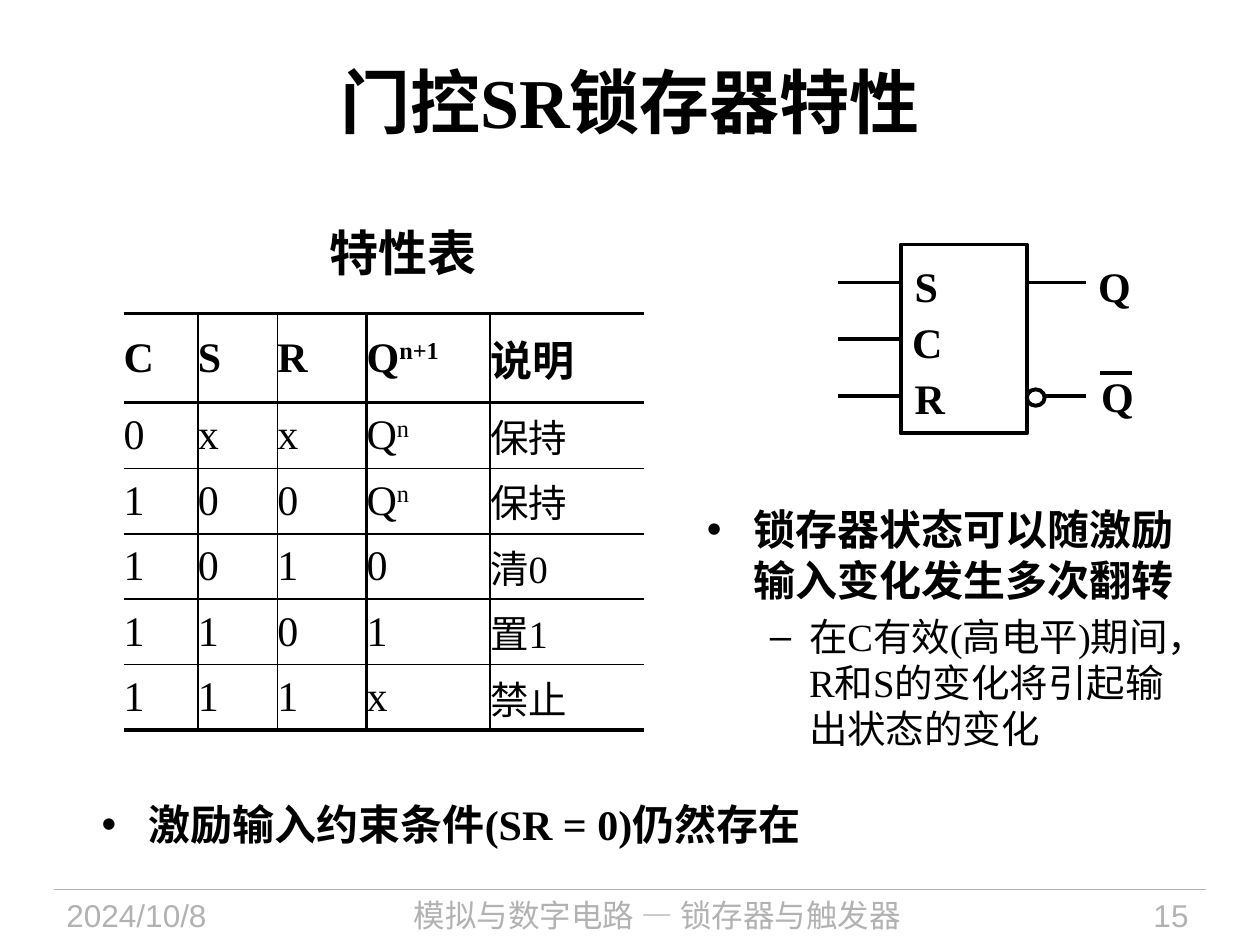
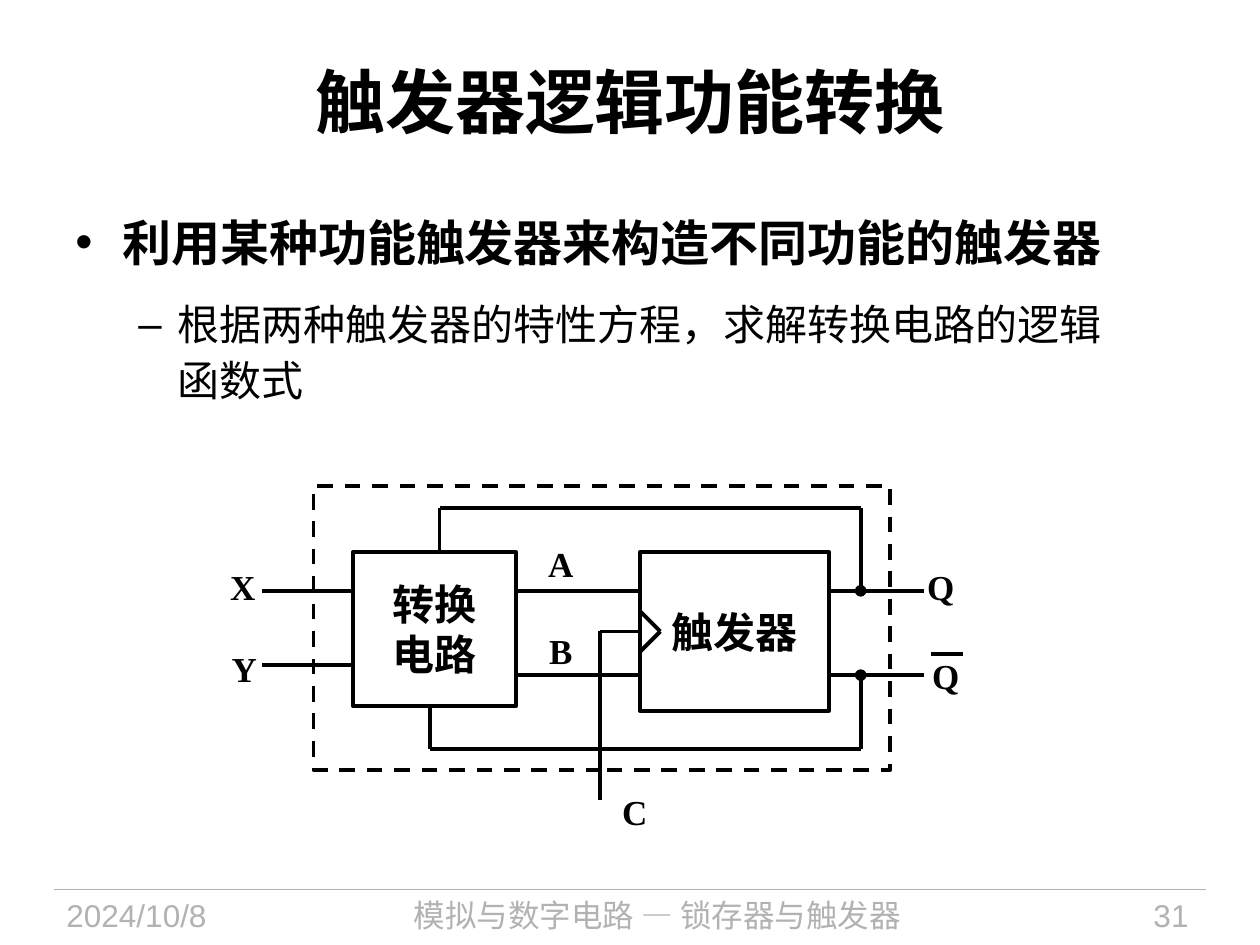
import pptx
import pptx.dml.color
import pptx.enum.dml
import pptx.enum.shapes
import pptx.enum.text
import pptx.oxml
import pptx.oxml.ns
import pptx.util

Cm = pptx.util.Cm
Pt = pptx.util.Pt
SHAPES = pptx.enum.shapes.MSO_SHAPE
ALIGN = pptx.enum.text.PP_ALIGN
ANCHOR = pptx.enum.text.MSO_ANCHOR
FIT = pptx.enum.text.MSO_AUTO_SIZE

BLACK = pptx.dml.color.RGBColor(0x00, 0x00, 0x00)
WHITE = pptx.dml.color.RGBColor(0xFF, 0xFF, 0xFF)
GREY = pptx.dml.color.RGBColor(0xB2, 0xB2, 0xB2)
SERIF, SANS, CHINESE = "Times New Roman", "Arial", "Noto Sans CJK SC"
WIRE = 2.25

# Content. All places are in centimetres.
DATE = "2024/10/8"
COURSE = "模拟与数字电路 — 锁存器与触发器"

LATCH_TITLE = "门控SR锁存器特性"
TABLE_TITLE = "特性表"
# A caret starts a superscript.
TRUTH_TABLE = [
    ("C", "S", "R", "Q^n+1", "说明"),
    ("0", "x", "x", "Q^n", "保持"),
    ("1", "0", "0", "Q^n", "保持"),
    ("1", "0", "1", "0", "清0"),
    ("1", "1", "0", "1", "置1"),
    ("1", "1", "1", "x", "禁止"),
]
COLUMN_WIDTHS = [1.5, 1.6, 1.8, 2.49, 3.1]
ROW_HEIGHTS = [1.8] + [1.32] * 5
LATCH_LABELS = [("S", 18.19, 5.13, 0.99), ("C", 18.14, 6.25, 1.14), ("R", 18.19, 7.39, 1.12),
                ("Q", 21.89, 5.13, 1.17), ("Q", 21.95, 7.34, 1.17)]
# Bullets: text, level, size.
CONSTRAINT = [("激励输入约束条件(SR = 0)仍然存在", 0, 24)]
LATCH_NOTES = [
    ("锁存器状态可以随激励输入变化发生多次翻转", 0, 24),
    ("在C有效(高电平)期间，R和S的变化将引起输出状态的变化", 1, 22),
]

CONVERSION_TITLE = "触发器逻辑功能转换"
CONVERSION_NOTES = [
    ("利用某种功能触发器来构造不同功能的触发器", 0, 28),
    ("根据两种触发器的特性方程，求解转换电路的逻辑函数式", 1, 24),
]
CONVERSION_LABELS = [("X", 4.39, 11.28), ("Y", 4.42, 12.93), ("A", 10.8, 10.82), ("B", 10.82, 12.57),
                     ("Q", 18.44, 11.28), ("Q", 18.54, 13.06), ("C", 12.29, 15.82)]

# Bullet sign, left margin and hanging indent by level.
BULLETS = [("•", 0.95, 0.95), ("–", 2.06, 0.79)]


def xml(tag, **attributes):
    element = pptx.oxml.parse_xml(f"<a:{tag} {pptx.oxml.ns.nsdecls('a')}/>")
    for name, value in attributes.items():
        element.set(name, str(value))
    return element


def write_text(paragraph, text, size=24, bold=False, color=BLACK, font=SERIF,
               align=ALIGN.LEFT, level=None, spacing=None, before=0, after=0):
    """Write one paragraph; level adds a bullet and a caret starts a superscript."""
    if level is not None:
        sign, margin, hanging = BULLETS[level]
        properties = paragraph._p.get_or_add_pPr()
        properties.set("marL", str(Cm(margin)))
        properties.set("indent", str(-Cm(hanging)))
        properties.append(xml("buFont", typeface=SANS))
        properties.append(xml("buChar", char=sign))
        paragraph.level = level
    paragraph.alignment = align
    paragraph.space_before, paragraph.space_after = Pt(before), Pt(after)
    if spacing:
        paragraph.line_spacing = spacing
    for index, part in enumerate(text.split("^")):
        run = paragraph.add_run()
        run.text = part
        run.font.size, run.font.bold, run.font.name = Pt(size), bold, font
        run.font.color.rgb = color
        properties = run._r.get_or_add_rPr()
        properties.append(xml("ea", typeface=CHINESE))
        if index:
            properties.set("baseline", "30000")


def add_box(slide, left, top, width, height, wrap=True, anchor=ANCHOR.TOP):
    """Add a text box and return its text frame."""
    box = slide.shapes.add_textbox(Cm(left), Cm(top), Cm(width), Cm(height))
    frame = box.text_frame
    frame.word_wrap, frame.vertical_anchor = wrap, anchor
    frame.auto_size = FIT.NONE if wrap else FIT.SHAPE_TO_FIT_TEXT
    return frame


def add_label(slide, text, left, top, width, height, **text_format):
    frame = add_box(slide, left, top, width, height, wrap=False)
    write_text(frame.paragraphs[0], text, bold=True, **text_format)


def add_bullets(slide, bullets, left, top, width, height, spacing=None, before=0):
    """Add bullets; before is a share of the text size."""
    frame = add_box(slide, left, top, width, height)
    for index, (text, level, size) in enumerate(bullets):
        paragraph = frame.add_paragraph() if index else frame.paragraphs[0]
        write_text(paragraph, text, size=size, bold=level == 0, level=level, spacing=spacing,
                   before=before * size if index else 0, after=0.2 * size)


def add_wire(slide, *points, color=BLACK, width=WIRE, dot=False):
    """Join the points by straight lines, with a dot on the first; return the first line."""
    wires = []
    for (x1, y1), (x2, y2) in zip(points, points[1:]):
        wire = slide.shapes.add_connector(pptx.enum.shapes.MSO_CONNECTOR.STRAIGHT,
                                          Cm(x1), Cm(y1), Cm(x2), Cm(y2))
        wire.line.color.rgb, wire.line.width = color, Pt(width)
        properties = wire._element.spPr
        if dot and not wires:
            properties.find(pptx.oxml.ns.qn("a:ln")).append(xml("headEnd", type="oval"))
        properties.append(xml("effectLst"))
        wires.append(wire)
    return wires[0]


def add_block(slide, left, top, width, height, lines=(), kind=SHAPES.RECTANGLE, fill=None, dash=None):
    block = slide.shapes.add_shape(kind, Cm(left), Cm(top), Cm(width), Cm(height))
    block.shadow.inherit = False
    if fill is None:
        block.fill.background()
    else:
        block.fill.solid()
        block.fill.fore_color.rgb = fill
    block.line.color.rgb, block.line.width = BLACK, Pt(WIRE)
    if dash:
        block.line.dash_style = dash
    frame = block.text_frame
    frame.word_wrap, frame.vertical_anchor = False, ANCHOR.MIDDLE
    for index, line in enumerate(lines):
        paragraph = frame.add_paragraph() if index else frame.paragraphs[0]
        write_text(paragraph, line, bold=True, font=SANS, align=ALIGN.CENTER)
    return block


def add_slide(presentation, title, number):
    """Add a slide with the shared title and footer."""
    slide = presentation.slides.add_slide(presentation.slide_layouts[6])
    add_wire(slide, (1.09, 17.93), (24.31, 17.93), color=GREY, width=0.75)
    for text, left, width, font, align in [
        (DATE, 1.09, 4.78, SANS, ALIGN.LEFT),
        (COURSE, 6.1, 14.3, CHINESE, ALIGN.CENTER),
        (str(number), 20.83, 3.38, SANS, ALIGN.RIGHT),
    ]:
        frame = add_box(slide, left, 17.93, width, 1.12)
        write_text(frame.paragraphs[0], text, size=18, color=GREY, font=font, align=align)
    frame = add_box(slide, 1.27, 0.43, 22.86, 3.18, anchor=ANCHOR.MIDDLE)
    write_text(frame.paragraphs[0], title, size=40, bold=True, align=ALIGN.CENTER)
    return slide


def set_borders(cell, **widths):
    """Set borders by side (L, R, T, B); a width of 0 hides the side."""
    for side, width in widths.items():
        border = xml(f"ln{side}", w=Pt(width))
        fill = xml("solidFill" if width else "noFill")
        if width:
            fill.append(xml("srgbClr", val=BLACK))
        border.append(fill)
        cell._tc.get_or_add_tcPr().append(border)


def add_truth_table(slide, left, top):
    row_count, column_count = len(TRUTH_TABLE), len(COLUMN_WIDTHS)
    table = slide.shapes.add_table(row_count, column_count, Cm(left), Cm(top),
                                   Cm(sum(COLUMN_WIDTHS)), Cm(sum(ROW_HEIGHTS))).table
    table.first_row = table.horz_banding = False
    for column, width in zip(table.columns, COLUMN_WIDTHS):
        column.width = Cm(width)
    for row, height in zip(table.rows, ROW_HEIGHTS):
        row.height = Cm(height)
    across = [2.25, 2] + [1] * (row_count - 2) + [2.25]
    down = [0, 1, 1, 2.25, 1, 0]
    for i, texts in enumerate(TRUTH_TABLE):
        for j, text in enumerate(texts):
            cell = table.cell(i, j)
            set_borders(cell, L=down[j], R=down[j + 1], T=across[i], B=across[i + 1])
            cell.fill.background()
            cell.vertical_anchor = ANCHOR.MIDDLE
            cell.margin_left = cell.margin_right = cell.margin_top = cell.margin_bottom = 0
            remark = i > 0 and j == column_count - 1
            write_text(cell.text_frame.paragraphs[0], text, size=22 if remark else 24, bold=i == 0)


def add_latch_symbol(slide):
    left, top, width, height = 18.16, 4.93, 2.54, 3.81
    right, middle, pitch = left + width, top + height / 2, 1.14
    upper, lower = middle - pitch, middle + pitch
    block = add_block(slide, left, top, width, height)
    for y in (upper, middle, lower):
        wire = add_wire(slide, (left, y), (16.89, y))
        if y == middle:
            wire.begin_connect(block, 1)
    add_wire(slide, (right, upper), (21.89, upper))
    add_wire(slide, (right + 0.23, lower), (21.89, lower))
    add_block(slide, right, 7.85, 0.36, 0.33, kind=SHAPES.OVAL, fill=WHITE)
    for text, x, y, label_width in LATCH_LABELS:
        add_label(slide, text, x, y, label_width, 1.27)
    add_wire(slide, (22.17, 7.52), (22.81, 7.52))


def add_conversion_circuit(slide):
    top, upper, lower = 11.13, 11.91, 13.61
    converter_left, converter_right, converter_bottom = 7.11, 10.41, 14.23
    flip_left, flip_right, flip_height = 12.9, 16.71, 3.2
    clock_x, clock_y = 12.09, top + flip_height / 2
    output_x, node_x = 18.62, 17.35

    add_block(slide, 6.32, 9.8, 11.63, 5.72, dash=pptx.enum.dml.MSO_LINE.DASH)
    flip_flop = add_block(slide, flip_left, top, flip_right - flip_left, flip_height, ["触发器"])
    add_block(slide, converter_left, top, converter_right - converter_left,
              converter_bottom - top, ["转换", "电路"], fill=WHITE)
    for y in (upper, lower):
        add_wire(slide, (converter_right, y), (flip_left, y))
        add_wire(slide, (flip_right, y), (output_x, y))
    for y in (upper, 13.41):
        add_wire(slide, (5.28, y), (converter_left, y))
    # Feedback from both outputs to the converter.
    for y, outer_y, x, end_y in [(upper, 10.24, 8.86, top), (lower, 15.09, 8.66, converter_bottom)]:
        add_wire(slide, (node_x, y), (node_x, outer_y), (x, outer_y), (x, end_y), dot=True)
    add_wire(slide, (flip_left, clock_y - 0.41), (flip_left + 0.41, clock_y), (flip_left, clock_y + 0.41))
    clock = add_wire(slide, (flip_left, clock_y), (clock_x, clock_y), (clock_x, 16.13))
    clock.begin_connect(flip_flop, 1)
    for text, x, y in CONVERSION_LABELS:
        add_label(slide, text, x, y, 1.02, 1.09, size=20)
    add_wire(slide, (18.77, 13.18), (19.41, 13.18))


def main():
    presentation = pptx.Presentation()
    presentation.slide_width, presentation.slide_height = Cm(25.4), Cm(19.05)

    latch = add_slide(presentation, LATCH_TITLE, 15)
    add_label(latch, TABLE_TITLE, 6.4, 4.37, 3.48, 1.45, size=28, font=SANS)
    add_truth_table(latch, 2.49, 6.32)
    add_latch_symbol(latch)
    add_bullets(latch, LATCH_NOTES, 14, 10.03, 10.21, 5.99)
    add_bullets(latch, CONSTRAINT, 1.8, 16.08, 21.89, 1.65, spacing=0.9)

    conversion = add_slide(presentation, CONVERSION_TITLE, 31)
    add_bullets(conversion, CONVERSION_NOTES, 1.27, 4.04, 21.92, 4.52, spacing=1.1, before=0.3)
    add_conversion_circuit(conversion)

    presentation.save("out.pptx")


if __name__ == "__main__":
    main()
